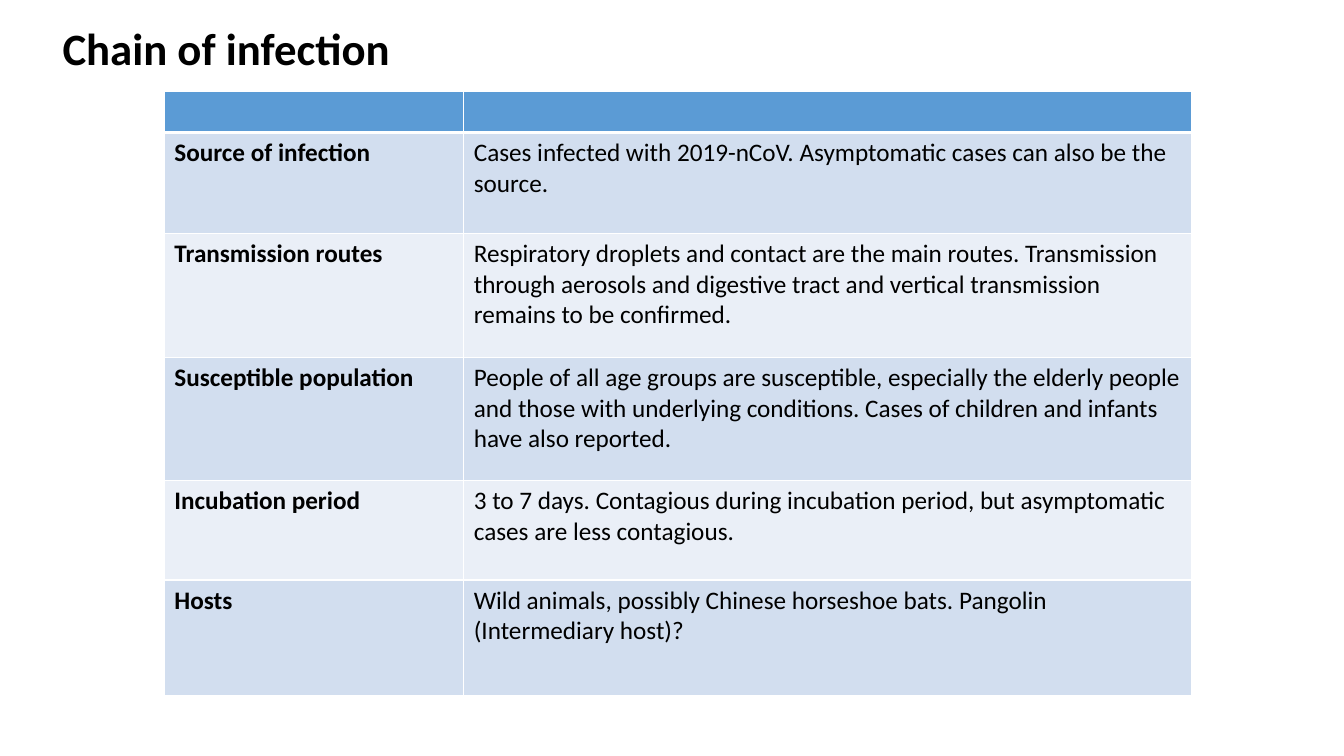
from dataclasses import dataclass

from lxml.etree import SubElement
from pptx import Presentation
from pptx.dml.color import RGBColor
from pptx.enum.text import MSO_ANCHOR, PP_ALIGN
from pptx.oxml.ns import qn
from pptx.util import Inches, Pt


@dataclass(frozen=True)
class Theme:
    font: str = "Calibri"
    text: str = "000000"
    header: str = "5B9BD5"
    bands: tuple = ("D2DEEF", "EAEFF7")
    border: str = "FFFFFF"
    title_size: int = 32
    body_size: int = 18
    thin: int = 1
    thick: int = 3


class SlideBuilder:
    def __init__(self, slide, theme):
        self.slide = slide
        self.theme = theme

    def add_run(self, paragraph, text, size, bold=False):
        run = paragraph.add_run()
        run.text = text
        run.font.name = self.theme.font
        run.font.size = Pt(size)
        run.font.bold = bold
        run.font.color.rgb = RGBColor.from_string(self.theme.text)

    def title(self, text, left, top, width, height):
        shape = self.slide.shapes.title
        shape.left, shape.top = Inches(left), Inches(top)
        shape.width, shape.height = Inches(width), Inches(height)
        frame = shape.text_frame
        frame.word_wrap = False
        frame.vertical_anchor = MSO_ANCHOR.TOP
        paragraph = frame.paragraphs[0]
        paragraph.alignment = PP_ALIGN.LEFT
        self.add_run(paragraph, text, self.theme.title_size, bold=True)

    def borders(self, cell, **widths):
        """Draw the cell sides; call before filling, as lines precede the fill."""
        properties = cell._tc.get_or_add_tcPr()
        for side in "LRTB":
            width = widths.get(side, self.theme.thin)
            line = SubElement(properties, qn(f"a:ln{side}"), w=str(Pt(width)))
            fill = SubElement(line, qn("a:solidFill"))
            SubElement(fill, qn("a:srgbClr"), val=self.theme.border)

    def fill(self, cell, color):
        cell.fill.solid()
        cell.fill.fore_color.rgb = RGBColor.from_string(color)

    def table(self, rows, left, top, column_widths, header_height):
        theme = self.theme
        heights = [header_height] + [height for height, *_ in rows]
        table = self.slide.shapes.add_table(
            len(heights), len(column_widths), Inches(left), Inches(top),
            Inches(sum(column_widths)), Inches(sum(heights))).table
        for column, width in zip(table.columns, column_widths):
            column.width = Inches(width)
        for row, height in zip(table.rows, heights):
            row.height = Inches(height)

        # Empty header row
        for cell in table.rows[0].cells:
            self.borders(cell, B=theme.thick)
            self.fill(cell, theme.header)
            cell.text_frame.paragraphs[0].font.size = Pt(theme.body_size)

        # Banded rows with a bold first column
        for index, (_, *texts) in enumerate(rows):
            for column, text in enumerate(texts):
                cell = table.cell(index + 1, column)
                self.borders(cell, T=theme.thin if index else theme.thick)
                self.fill(cell, theme.bands[index % 2])
                self.add_run(cell.text_frame.paragraphs[0], text,
                             theme.body_size, bold=column == 0)


# Row height, link of the chain, description
CHAIN = [
    (1, "Source of infection",
     "Cases infected with 2019-nCoV. Asymptomatic cases can also be the source."),
    (1.23, "Transmission routes",
     "Respiratory droplets and contact are the main routes. Transmission through "
     "aerosols and digestive tract and vertical transmission remains to be confirmed."),
    (1.22, "Susceptible population",
     "People of all age groups are susceptible, especially the elderly people and "
     "those with underlying conditions. Cases of children and infants have also reported."),
    (0.99, "Incubation period",
     "3 to 7 days. Contagious during incubation period, but asymptomatic cases "
     "are less contagious."),
    (1.15, "Hosts",
     "Wild animals, possibly Chinese horseshoe bats. Pangolin (Intermediary host)?"),
]


def main():
    presentation = Presentation()
    presentation.slide_width = Inches(13.33)
    presentation.slide_height = Inches(7.5)
    slide = presentation.slides.add_slide(presentation.slide_layouts[5])
    builder = SlideBuilder(slide, Theme())
    builder.title("Chain of infection", 0.52, 0.16, 3.76, 0.64)
    builder.table(CHAIN, 1.63, 0.91, (2.97, 7.22), header_height=0.4)
    presentation.save("out.pptx")


if __name__ == "__main__":
    main()
